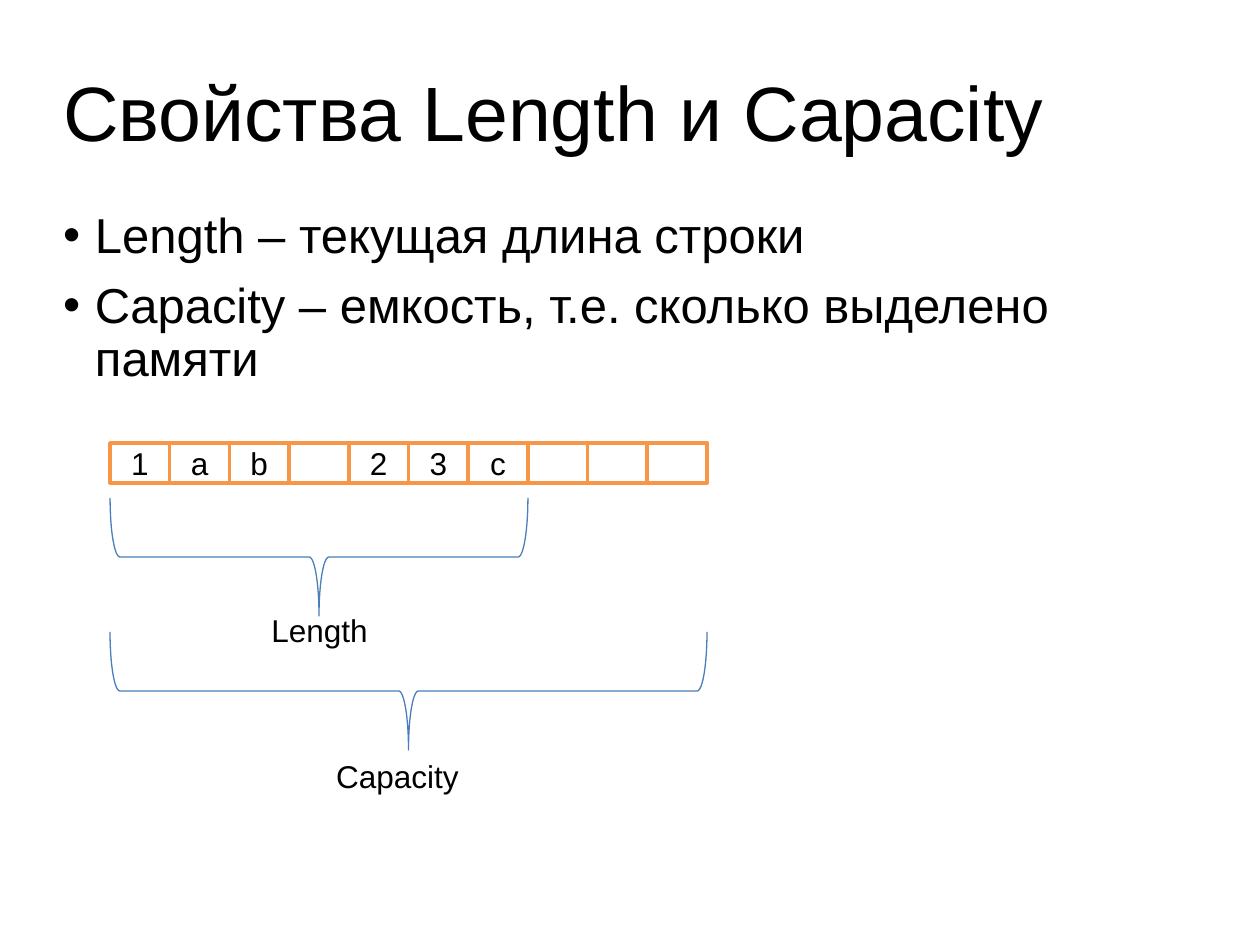
from lxml import etree
from pptx import Presentation
from pptx.dml.color import RGBColor
from pptx.enum.shapes import MSO_SHAPE
from pptx.enum.text import MSO_ANCHOR, MSO_AUTO_SIZE, PP_ALIGN
from pptx.oxml.ns import qn
from pptx.util import Emu, Pt

LEFT, CENTER = PP_ALIGN.LEFT, PP_ALIGN.CENTER
MIDDLE, TOP = MSO_ANCHOR.MIDDLE, MSO_ANCHOR.TOP
FIXED, GROW = MSO_AUTO_SIZE.NONE, MSO_AUTO_SIZE.SHAPE_TO_FIT_TEXT
RECTANGLE, RIGHT_BRACE = MSO_SHAPE.RECTANGLE, MSO_SHAPE.RIGHT_BRACE

SCALE = 914400 / 126
FONT = "Arial"
BLACK, WHITE, ORANGE, BLUE = "000000", "FFFFFF", "F79646", "4B7EBC"
ROW_LEFT, ROW_TOP, ROW_WIDTH, ROW_HEIGHT = 110, 443, 597, 40
BRACE_HEIGHT = 118
CELLS = ["1", "a", "b", "", "2", "3", "c", "", "", ""]
USED_CELLS = 7


def px(value):
    """Turn px into EMU."""
    return Emu(round(value * SCALE))


def color(value):
    """Turn a hex string into a colour."""
    return RGBColor.from_string(value)


def apply_format(target, values):
    """Set every attribute named in a dict."""
    for name, value in values.items():
        setattr(target, name, value)


def place(shape, left, top, width, height):
    """Move and size a shape given in px."""
    apply_format(shape, {"left": px(left), "top": px(top),
                         "width": px(width), "height": px(height)})


def write_paragraph(paragraph, text, size, **values):
    """Fill a paragraph and format it."""
    paragraph.text = text
    apply_format(paragraph, values)
    apply_format(paragraph.font, {"name": FONT, "size": Pt(size)})
    paragraph.font.color.rgb = color(BLACK)


def prepare_placeholder(shape, box):
    """Place a placeholder and remove its insets."""
    place(shape, *box)
    apply_format(shape.text_frame, {
        "margin_left": 0, "margin_top": 0, "margin_right": 0, "margin_bottom": 0,
        "word_wrap": True, "auto_size": FIXED, "vertical_anchor": MIDDLE})
    return shape.text_frame


def add_bullet(paragraph, indent):
    """Give a paragraph a hanging bullet."""
    properties = paragraph._p.get_or_add_pPr()
    properties.set("marL", str(px(indent)))
    properties.set("indent", str(-px(indent)))
    etree.SubElement(properties, qn("a:buFont"), typeface=FONT)
    etree.SubElement(properties, qn("a:buChar"), char="•")


def write_bullets(frame, lines):
    """Write a bulleted list."""
    for index, line in enumerate(lines):
        paragraph = frame.add_paragraph() if index else frame.paragraphs[0]
        add_bullet(paragraph, 32)
        write_paragraph(paragraph, line, 28, alignment=LEFT, line_spacing=0.9,
                        space_before=Pt(10 if index else 0))


def add_outline(slide, kind, box, line_color, line_width):
    """Add an outlined preset shape without shadow."""
    shape = slide.shapes.add_shape(kind, *map(px, box))
    shape.shadow.inherit = False
    shape.line.color.rgb = color(line_color)
    shape.line.width = Pt(line_width)
    return shape


def add_cell(slide, index, text):
    """Add one character cell of the row."""
    width = ROW_WIDTH / len(CELLS)
    box = ROW_LEFT + index * width, ROW_TOP, width, ROW_HEIGHT
    cell = add_outline(slide, RECTANGLE, box, ORANGE, 2)
    cell.fill.solid()
    cell.fill.fore_color.rgb = color(WHITE)
    if text:
        cell.text_frame.vertical_anchor = MIDDLE
        write_paragraph(cell.text_frame.paragraphs[0], text, 18, alignment=CENTER)


def add_brace(slide, top, cell_count):
    """Add a brace pointing down under the first cells."""
    span = ROW_WIDTH * cell_count / len(CELLS)
    shift = (span - BRACE_HEIGHT) / 2
    box = ROW_LEFT + shift, top - shift, BRACE_HEIGHT, span
    brace = add_outline(slide, RIGHT_BRACE, box, BLUE, 0.75)
    brace.fill.background()
    brace.rotation = 90


def add_label(slide, text, left, top, alignment):
    """Add a caption below a brace."""
    frame = slide.shapes.add_textbox(*map(px, (left, top, 217, 50))).text_frame
    apply_format(frame, {"word_wrap": True, "auto_size": GROW, "vertical_anchor": TOP})
    write_paragraph(frame.paragraphs[0], text, 18, alignment=alignment)


def main():
    """Build the slide and save it."""
    presentation = Presentation()
    apply_format(presentation, {"slide_width": px(1260), "slide_height": px(945)})
    slide = presentation.slides.add_slide(presentation.slide_layouts[1])
    title = prepare_placeholder(slide.shapes.title, (63, 38, 1134, 158))
    write_paragraph(title.paragraphs[0], "Свойства Length и Capacity", 44,
                    alignment=LEFT, line_spacing=0.9)
    body = prepare_placeholder(slide.placeholders[1], (63, 220, 1134, 158))
    write_bullets(body, ["Length – текущая длина строки",
                         "Capacity – емкость, т.е. сколько выделено памяти"])
    for index, text in enumerate(CELLS):
        add_cell(slide, index, text)
    add_brace(slide, 632, len(CELLS))
    add_brace(slide, 498, USED_CELLS)
    add_label(slide, "Length", 259, 605, LEFT)
    add_label(slide, "Capacity", 289, 751, CENTER)
    presentation.save("out.pptx")


if __name__ == "__main__":
    main()
